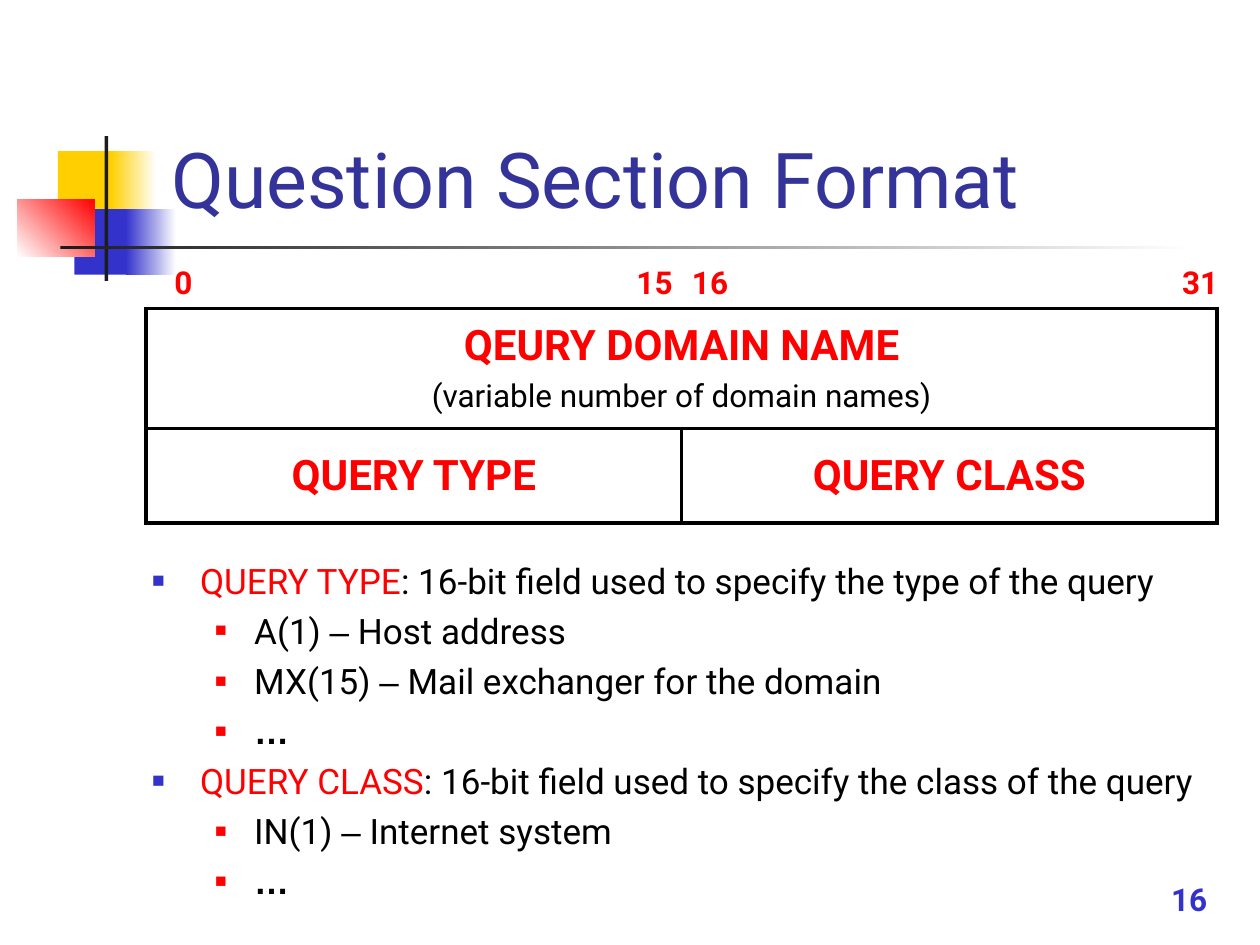
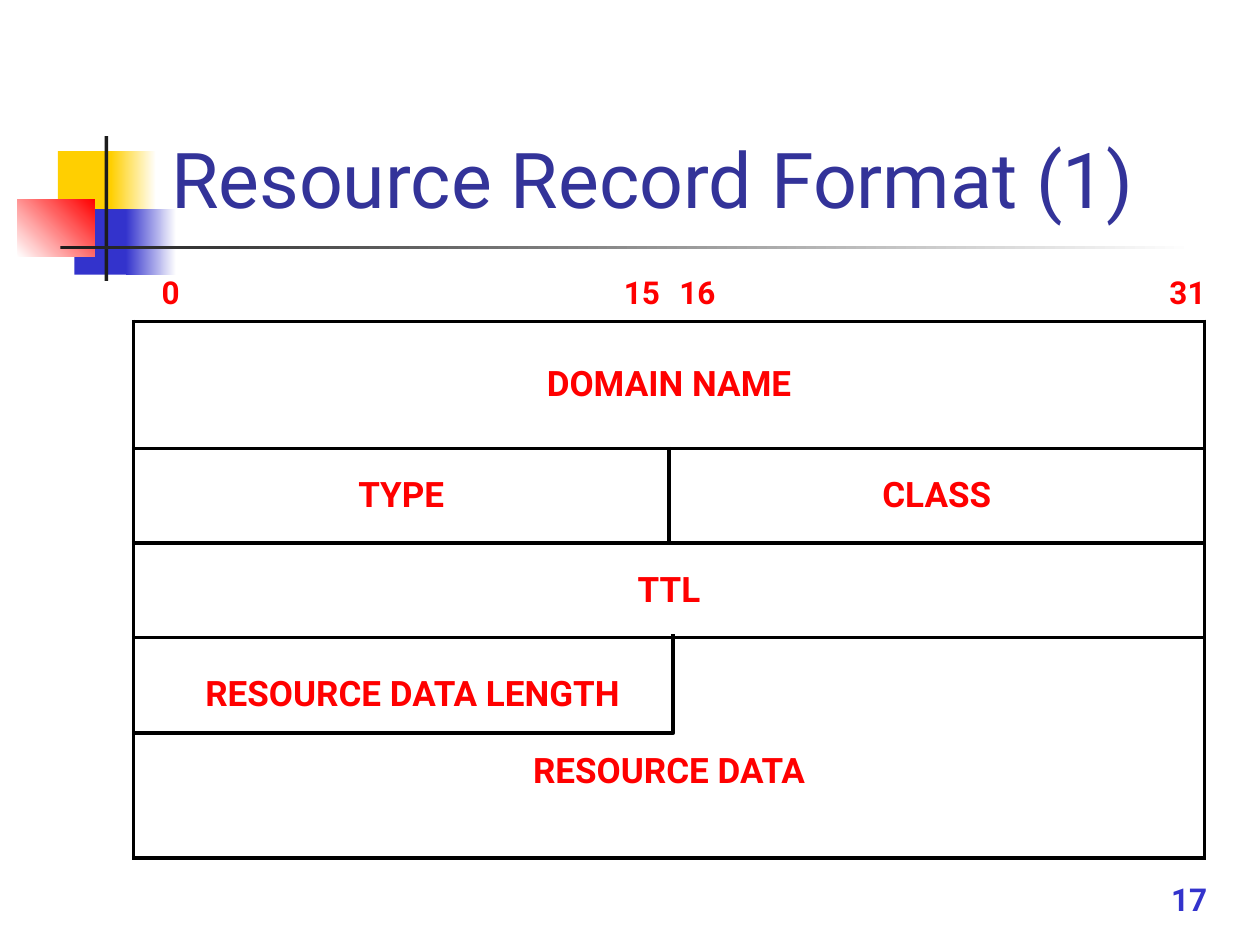
"""Build two slides on the DNS question section and resource record formats."""
from lxml import etree
from pptx import Presentation
from pptx.dml.color import RGBColor
from pptx.enum.shapes import MSO_SHAPE
from pptx.enum.text import MSO_ANCHOR as ANCHOR, PP_ALIGN as ALIGN
from pptx.oxml import parse_xml
from pptx.oxml.ns import qn
from pptx.util import Inches, Pt

C = {"yellow": "FFCF01", "blue": "3333CC", "red": "FF0000", "dark": "1C1C1C",
     "title": "333399", "black": "000000", "white": "FFFFFF"}
RGB = {name: RGBColor.from_string(value) for name, value in C.items()}
NS = 'xmlns:a="http://schemas.openxmlformats.org/drawingml/2006/main"'

DECOR = [
    (0.46, 1.2, 0.48, 0.52, ["yellow"], 0),
    (0.88, 1.2, 0.36, 0.52, ["yellow", "white"], 0),
    (0.59, 1.66, 0.46, 0.52, ["blue"], 0),
    (1, 1.66, 0.4, 0.52, ["blue", "white"], 0),
    (0.14, 1.58, 0.61, 0.46, ["white", "red"], 45),
    (0.83, 1.08, 0.03, 1.15, ["dark"], 0),
    (0.48, 1.95, 9, 0.03, ["dark", "white"], 0),
]
BITS = [("31", 8.07), ("16", 4.18), ("15", 3.74), ("0", 0)]

SLIDES = [
    {"number": 16, "title": "Question Section Format", "left": 1.16, "top": 2.45,
     "bits_top": 2.04, "size": 24, "heights": [0.95, 0.75],
     "rows": [["QEURY DOMAIN NAME\n(variable number of domain names)"],
              ["QUERY TYPE", "QUERY CLASS"]]},
    {"number": 17, "title": "Resource Record Format (1)", "left": 1.06, "top": 2.55,
     "bits_top": 2.12, "size": 20, "heights": [1.01, 0.75, 0.75, 1.75],
     "rows": [["DOMAIN NAME"], ["TYPE", "CLASS"], ["TTL"], ["RESOURCE DATA"]]},
]
BULLETS = [
    (0, ["QUERY TYPE", ": 16-bit field used to specify the type of the query"]),
    (1, ["A(1) ", "–", " Host address"]),
    (1, ["MX(15) ", "–", " Mail exchanger for the domain"]),
    (1, ["…"]),
    (0, ["QUERY CLASS", ": 16-bit field used to specify the class of the query"]),
    (1, ["IN(1) ", "–", " Internet system"]),
    (1, ["…"]),
]
BULLET_STYLES = [(0.38, -0.38, "blue", 60), (0.81, -0.31, "red", 55)]


def style(p, size, color, bold=False, align=ALIGN.LEFT):
    p.alignment = align
    for r in p.runs:
        r.font.name = "Roboto"
        r.font.size = Pt(size)
        r.font.bold = bold
        r.font.color.rgb = RGB[color]


def add_text(s, box, text, size, color, bold=False, align=ALIGN.LEFT, anchor=ANCHOR.TOP):
    tf = s.shapes.add_textbox(*map(Inches, box)).text_frame
    tf.word_wrap = True
    tf.vertical_anchor = anchor
    tf.text = text
    style(tf.paragraphs[0], size, color, bold, align)
    return tf


prs = Presentation()
prs.slide_width, prs.slide_height = Inches(10), Inches(7.5)
pages = []

for page in SLIDES:
    s = prs.slides.add_slide(prs.slide_layouts[6])
    pages.append(s)
    for x, y, w, h, colors, angle in DECOR:
        sp = s.shapes.add_shape(MSO_SHAPE.RECTANGLE, *map(Inches, (x, y, w, h)))
        sp.shadow.inherit = False
        sp.line.fill.background()
        if len(colors) == 1:
            sp.fill.solid()
            sp.fill.fore_color.rgb = RGB[colors[0]]
        else:
            sp.fill.gradient()
            sp.fill.gradient_angle = angle
            for stop, color, position in zip(sp.fill.gradient_stops, colors, (0, 1)):
                stop.color.rgb = RGB[color]
                stop.position = position

    add_text(s, (6.51, 6.83, 3.17, 0.5), str(page["number"]), 18, "blue", True,
             ALIGN.RIGHT, ANCHOR.BOTTOM)
    add_text(s, (1.26, 0.23, 8.52, 1.6), page["title"], 44, "title", anchor=ANCHOR.BOTTOM)

    rows, heights = page["rows"], page["heights"]
    frame = s.shapes.add_table(len(rows), 2, Inches(page["left"]), Inches(page["top"]),
                               Inches(8.5), Inches(sum(heights)))
    table = frame.table
    table.first_row = table.horz_banding = False
    for row, height in zip(table.rows, heights):
        row.height = Inches(height)
    for cell in table.iter_cells():
        tcPr = cell._tc.get_or_add_tcPr()
        for side in "LRTB":
            tcPr.append(parse_xml(
                f'<a:ln{side} {NS} w="{Pt(2.25)}"><a:solidFill>'
                f'<a:srgbClr val="{C["black"]}"/></a:solidFill></a:ln{side}>'))
        cell.fill.solid()
        cell.fill.fore_color.rgb = RGB["white"]
        cell.vertical_anchor = ANCHOR.MIDDLE
    for i, texts in enumerate(rows):
        if len(texts) == 1:
            table.cell(i, 0).merge(table.cell(i, 1))
        for j, text in enumerate(texts):
            tf = table.cell(i, j).text_frame
            tf.text = text
            style(tf.paragraphs[0], page["size"], "red", True, ALIGN.CENTER)
            for p in tf.paragraphs[1:]:
                style(p, 18, "black", False, ALIGN.CENTER)
                p.space_before = Pt(4.2)

    for text, offset in BITS:
        add_text(s, (page["left"] + offset, page["bits_top"], 0.59, 0.4), text, 18, "red",
                 True, ALIGN.CENTER)
    page["table"] = table

question, record = pages

tf = question.shapes.add_textbox(*map(Inches, (1.11, 4.39, 8.66, 1.89))).text_frame
tf.word_wrap = True
for i, (level, parts) in enumerate(BULLETS):
    p = tf.add_paragraph() if i else tf.paragraphs[0]
    for part in parts:
        p.add_run().text = part
    style(p, 20, "black")
    p.level = level
    if i:
        p.space_before = Pt(4.6)
    if level == 0:
        p.runs[0].font.color.rgb = RGB["red"]
    for r in p.runs:
        if r.text in "–…":
            r.font.name = "Arial"
            r.font.bold = r.text == "…"
    margin, indent, color, percent = BULLET_STYLES[level]
    pPr = p._p.get_or_add_pPr()
    pPr.set("marL", str(Inches(margin)))
    pPr.set("indent", str(Inches(indent)))
    clr = etree.SubElement(pPr, qn("a:buClr"))
    etree.SubElement(clr, qn("a:srgbClr"), val=C[color])
    etree.SubElement(pPr, qn("a:buSzPct"), val=str(percent * 1000))
    etree.SubElement(pPr, qn("a:buFont"), typeface="Arial")
    etree.SubElement(pPr, qn("a:buChar"), char="■")

SLIDES[1]["table"].cell(3, 0).margin_top = Inches(0.42)
outline = record.shapes.build_freeform(Inches(1.06), Inches(5.82))
outline.add_line_segments([(Inches(5.34), Inches(5.82)), (Inches(5.34), Inches(5.03))],
                          close=False)
sp = outline.convert_to_shape()
sp.shadow.inherit = False
sp.fill.background()
sp.line.color.rgb = RGB["black"]
sp.line.width = Pt(2.25)
add_text(record, (0.96, 5.28, 4.63, 0.43), "RESOURCE DATA LENGTH", 20, "red", True,
         ALIGN.CENTER)

prs.save("out.pptx")
